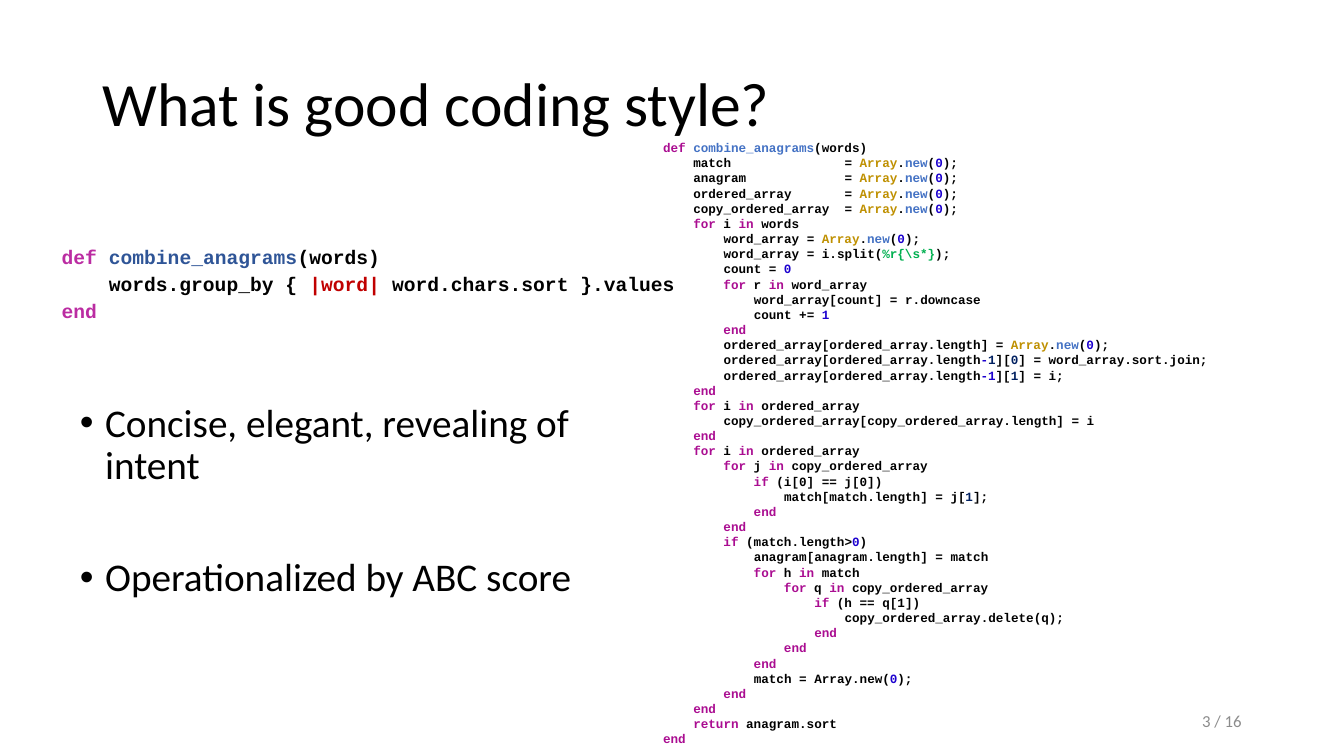
from pptx import Presentation
from pptx.dml.color import RGBColor
from pptx.enum.text import MSO_ANCHOR, PP_ALIGN
from pptx.oxml.ns import qn
from pptx.util import Pt
from lxml.etree import SubElement

TITLE = "What is good coding style?"
POINTS = ["Concise, elegant, revealing of intent", "Operationalized by ABC score"]
PAGE = "3 / 16"

SHORT_CODE = [
    "~kdef ~~fcombine_anagrams~(words)",
    "    words.group_by { ~v|word| ~word.chars.sort }.values",
    "~kend~",
]
SHORT_COLOURS = {"k": "BB2CA2", "f": "2F5597", "v": "C00000"}

NEW_ARRAY = "~cArray~.~fnew~(~n0~);"
LONG_CODE = [
    "~kdef ~~fcombine_anagrams~(words)",
    "    match               = " + NEW_ARRAY,
    "    anagram             = " + NEW_ARRAY,
    "    ordered_array       = " + NEW_ARRAY,
    "    copy_ordered_array  = " + NEW_ARRAY,
    "    ~kfor ~i ~kin~ words",
    "        word_array = " + NEW_ARRAY,
    r"        word_array = i.split(~s%r{\s*}~);",
    "        count = ~n0~",
    "        ~kfor ~r ~kin ~word_array",
    "            word_array[count] = r.downcase",
    "            count += ~n1~",
    "        ~kend~",
    "        ordered_array[ordered_array.length] = " + NEW_ARRAY,
    "        ordered_array[ordered_array.length~n-~~d1~][~d0~] = word_array.sort.join;",
    "        ordered_array[ordered_array.length~n-1~][~d1~] = i;",
    "    ~kend~",
    "    ~kfor ~i ~kin ~ordered_array",
    "        copy_ordered_array[copy_ordered_array.length] = i",
    "    ~kend~",
    "    ~kfor ~i ~kin ~ordered_array",
    "        ~kfor ~j ~kin ~copy_ordered_array",
    "            ~kif ~(i[0] == j[0])",
    "                match[match.length] = j[~d1~];",
    "            ~kend~",
    "        ~kend~",
    "        ~kif ~(match.length>~n0~)",
    "            anagram[anagram.length] = match",
    "            ~kfor ~h ~kin~ match",
    "                ~kfor ~q ~kin ~copy_ordered_array",
    "                    ~kif ~(h == q[1])",
    "                        copy_ordered_array.delete(q);",
    "                    ~kend~",
    "                ~kend~",
    "            ~kend~",
    "            match = Array.new(~n0~);",
    "        ~kend~",
    "    ~kend~",
    "    ~kreturn ~anagram.sort",
    "~kend~",
]
LONG_COLOURS = {"k": "AA0D91", "f": "4472C4", "c": "BF9000",
                "n": "1C00CF", "d": "002060", "s": "00B050"}


def colour(hex_code):
    return RGBColor.from_string(hex_code)


def add_box(slide, left, top, width, height, anchor=MSO_ANCHOR.TOP, fill=None):
    box = slide.shapes.add_textbox(Pt(left), Pt(top), Pt(width), Pt(height))
    if fill:
        box.fill.solid()
        box.fill.fore_color.rgb = colour(fill)
    frame = box.text_frame
    frame.word_wrap = True
    frame.vertical_anchor = anchor
    return frame


def set_font(font, size, name="Calibri", hex_code="000000", bold=False):
    font.size, font.name, font.bold = Pt(size), name, bold
    font.color.rgb = colour(hex_code)


def add_code(frame, lines, colours, size, spacing=None):
    """Write code lines; pieces between tildes start with their colour key."""
    for number, line in enumerate(lines):
        paragraph = frame.add_paragraph() if number else frame.paragraphs[0]
        paragraph.line_spacing = spacing
        for index, piece in enumerate(line.split("~")):
            marked = index % 2 == 1
            words = piece[1:] if marked else piece
            if words:
                run = paragraph.add_run()
                run.text = words
                hue = colours[piece[0]] if marked else "000000"
                set_font(run.font, size, "Courier New", hue, True)


def add_points(frame, points):
    for number, point in enumerate(points):
        paragraph = frame.add_paragraph() if number else frame.paragraphs[0]
        paragraph.text = point
        paragraph.line_spacing = 0.9
        if number:
            paragraph.space_before = Pt(50)
        properties = paragraph._p.get_or_add_pPr()
        properties.set("marL", str(Pt(18)))
        properties.set("indent", str(-Pt(18)))
        SubElement(properties, qn("a:buFont")).set("typeface", "Arial")
        SubElement(properties, qn("a:buChar")).set("char", "•")
        set_font(paragraph.font, 28)


def main():
    deck = Presentation()
    deck.slide_width, deck.slide_height = Pt(960), Pt(540)
    slide = deck.slides.add_slide(deck.slide_layouts[6])

    long_code = add_box(slide, 466.5, 96.5, 427.5, 443.5, fill="FFFFFF")
    add_code(long_code, LONG_CODE, LONG_COLOURS, 9)

    title = add_box(slide, 66, 24, 828, 104, MSO_ANCHOR.MIDDLE)
    title.text = TITLE
    title.paragraphs[0].line_spacing = 0.9
    set_font(title.paragraphs[0].font, 44)

    short_code = add_box(slide, 37, 165, 458, 84)
    short_code.margin_top = short_code.margin_bottom = Pt(7.2)
    add_code(short_code, SHORT_CODE, SHORT_COLOURS, 14, 1.15)

    add_points(add_box(slide, 50, 284.5, 430.5, 160.5, fill="FFFFFF"), POINTS)

    page = add_box(slide, 678, 500.5, 216, 28.5, MSO_ANCHOR.MIDDLE)
    page.text = PAGE
    page.paragraphs[0].alignment = PP_ALIGN.RIGHT
    set_font(page.paragraphs[0].font, 12, hex_code="8C8C8C")

    deck.save("out.pptx")


if __name__ == "__main__":
    main()
